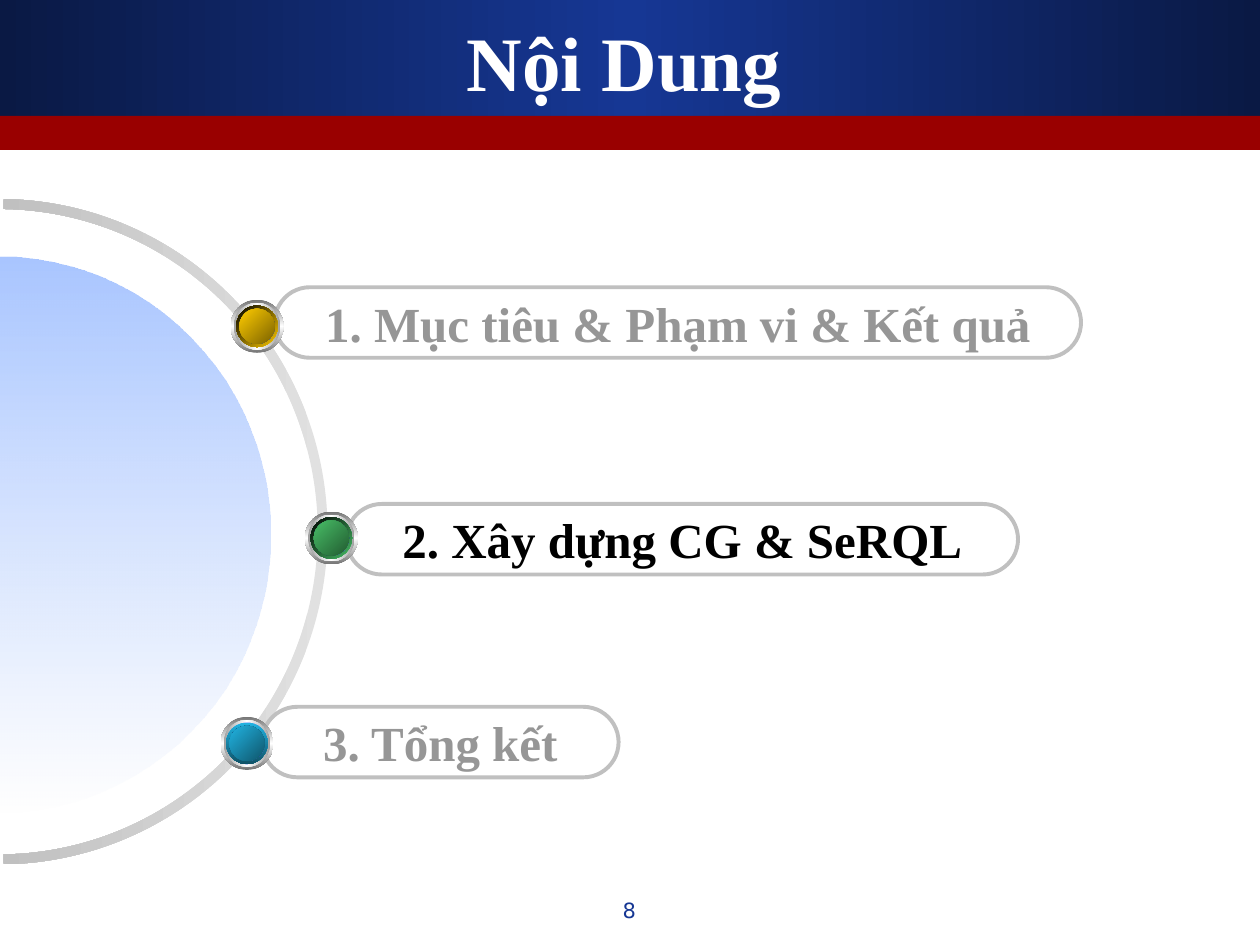
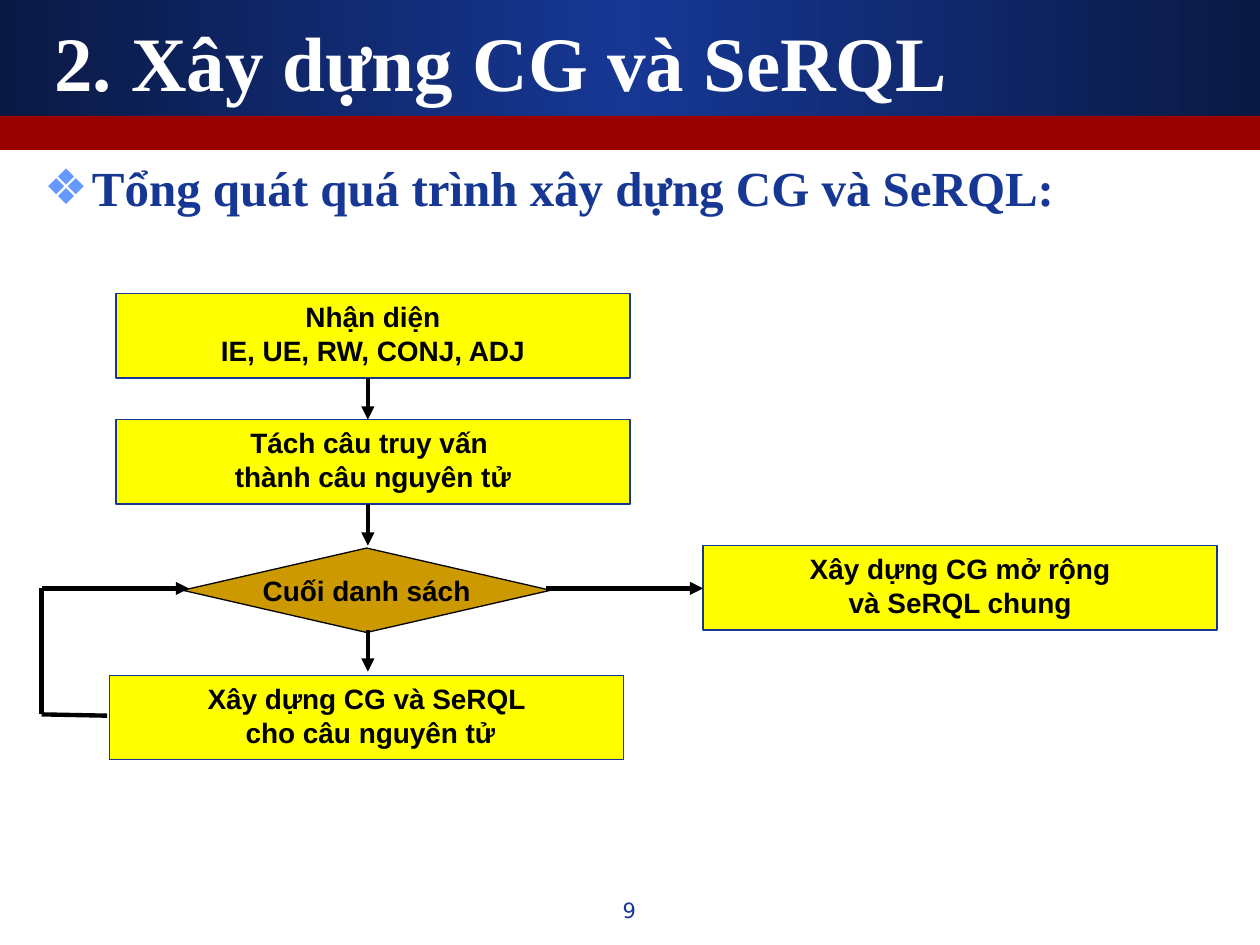
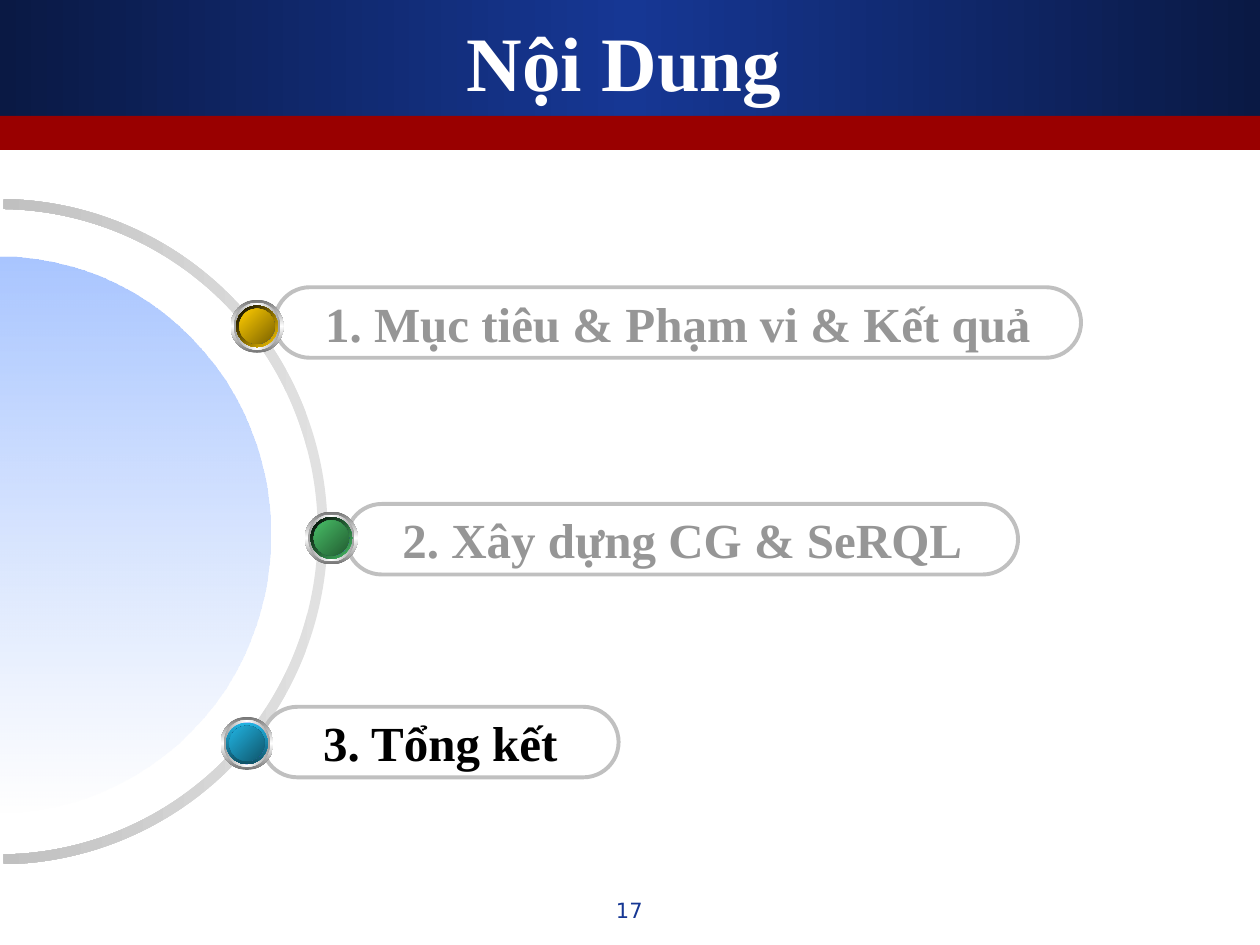
from dataclasses import dataclass
from typing import Any

from lxml import etree
from pptx import Presentation
from pptx.dml.color import RGBColor as Rgb
from pptx.enum import shapes as sh, text as tx
from pptx.oxml.ns import qn
from pptx.util import Inches, Pt

NAVY = Rgb(0x0A, 0x19, 0x44)
BLUE = Rgb(0x16, 0x37, 0x94)
SKY = Rgb(0x66, 0x99, 0xFF)
STEEL = Rgb(0x36, 0x52, 0x89)
RED = Rgb(0x99, 0x00, 0x00)
WHITE = Rgb(0xFF, 0xFF, 0xFF)
PEARL = Rgb(0xFE, 0xFE, 0xFE)
BLACK = Rgb(0x00, 0x00, 0x00)
PALE = Rgb(0xE1, 0xE1, 0xE1)
SILVER = Rgb(0xC0, 0xC0, 0xC0)
ASH = Rgb(0xA1, 0xA1, 0xA1)
GREY = Rgb(0x96, 0x96, 0x96)
SLATE = Rgb(0x75, 0x75, 0x75)
YELLOW = Rgb(0xFF, 0xFF, 0x00)
OCHRE = Rgb(0xCC, 0x99, 0x00)
GOLD = Rgb(0xFF, 0xCC, 0x00)
BRONZE = Rgb(0x7B, 0x62, 0x00)
GREEN = Rgb(0x48, 0xBE, 0x67)
MOSS = Rgb(0x22, 0x5C, 0x31)
CYAN = Rgb(0x21, 0xB3, 0xE1)
TEAL = Rgb(0x0F, 0x56, 0x6C)
DEEP = Rgb(0x0F, 0x52, 0x67)

SERIF = "Times New Roman"
KIND = sh.MSO_SHAPE
ALIGN = tx.PP_ALIGN
MID = tx.MSO_ANCHOR.MIDDLE
TOP = tx.MSO_ANCHOR.TOP
HEAD = dict(name=SERIF, size=Pt(44), bold=True)
ITEM = dict(name=SERIF, size=Pt(28), bold=True)
STEP = dict(name="Arial", size=Pt(16), bold=True)
FOOT = dict(name="DejaVu Sans", size=Pt(12))


@dataclass(frozen=True)
class Box:
    left: float
    top: float
    width: float
    height: float

    def lens(self) -> tuple:
        return tuple(Inches(n) for n in (self.left, self.top, self.width, self.height))


@dataclass(frozen=True)
class Grad:
    stops: tuple[Rgb, ...]
    angle: int
    alpha: tuple[int, ...] = ()


@dataclass(frozen=True)
class Topic:
    words: str
    pill: Box
    dot: tuple[float, float]
    rim: Grad
    core: Grad


@dataclass(frozen=True)
class Step:
    lines: tuple[str, ...]
    left: float
    top: float


@dataclass(frozen=True)
class Link:
    start: tuple[float, float]
    end: tuple[float, float]
    arrow: bool = True


TOPICS = (
    Topic("1. Mục tiêu & Phạm vi & Kết quả", Box(2.18, 2.28, 6.4, 0.56), (1.83, 2.38),
          Grad((GOLD, BLACK), 225), Grad((BRONZE, GOLD), 225)),
    Topic("2. Xây dựng CG & SeRQL", Box(2.75, 4, 5.33, 0.56), (2.42, 4.06),
          Grad((GREEN, BLACK), 225), Grad((MOSS, GREEN), 225)),
    Topic("3. Tổng kết", Box(2.08, 5.61, 2.83, 0.56), (1.75, 5.69),
          Grad((CYAN, DEEP), 90), Grad((TEAL, CYAN), 225)),
)
STEPS = (
    Step(("Nhận diện", "IE, UE, RW, CONJ, ADJ"), 0.92, 2.33),
    Step(("Tách câu truy vấn ", "thành câu nguyên tử"), 0.92, 3.33),
    Step(("Xây dựng CG và SeRQL", " cho câu nguyên tử"), 0.87, 5.36),
    Step(("Xây dựng CG mở rộng", "và SeRQL chung"), 5.58, 4.33),
)
LINKS = (
    *(Link((2.92, y), (2.92, y + 0.33)) for y in (3, 4, 5)),
    Link((4.33, 4.67), (5.58, 4.67)),
    Link((0.33, 4.67), (1.5, 4.67)),
    Link((0.33, 4.67), (0.33, 5.67), False),
    Link((0.33, 5.67), (0.85, 5.68), False),
)


def put(obj: Any, form: dict) -> None:
    for key, val in form.items():
        setattr(obj, key, val)


def blend(shape: Any, grad: Grad) -> None:
    shape.fill.gradient()
    node = shape.element.spPr.find(qn("a:gradFill"))
    for kid in list(node):
        node.remove(kid)
    row = etree.SubElement(node, qn("a:gsLst"))
    last = len(grad.stops) - 1
    for num, tone in enumerate(grad.stops):
        stop = etree.SubElement(row, qn("a:gs"), pos=str(100000 * num // last))
        mark = etree.SubElement(stop, qn("a:srgbClr"), val=str(tone))
        if grad.alpha:
            etree.SubElement(mark, qn("a:alpha"), val=str(grad.alpha[num] * 1000))
    etree.SubElement(node, qn("a:lin"), ang=str(grad.angle * 60000), scaled="1")


def draw(pool: Any, kind: Any, box: Box, fill: Rgb | Grad | None = None,
         line: Rgb | None = None, width: float = 0.75) -> Any:
    shape = pool.add_shape(kind, *box.lens())
    shape.shadow.inherit = False
    if isinstance(fill, Grad):
        blend(shape, fill)
    elif fill is None:
        shape.fill.background()
    else:
        shape.fill.solid()
        shape.fill.fore_color.rgb = fill
    if line is None:
        shape.line.fill.background()
    else:
        shape.line.color.rgb = line
        shape.line.width = Pt(width)
    return shape


def write(shape: Any, lines: tuple[str, ...], font: dict, tone: Rgb,
          align: Any = ALIGN.CENTER, anchor: Any = MID, wrap: bool = True) -> None:
    frame = shape.text_frame
    put(frame, dict(text="\n".join(lines), word_wrap=wrap, vertical_anchor=anchor,
                    auto_size=tx.MSO_AUTO_SIZE.NONE))
    for para in frame.paragraphs:
        para.alignment = align
        for run in para.runs:
            put(run.font, font)
            run.font.color.rgb = tone


def place(shape: Any, box: Box) -> None:
    put(shape, dict(zip(("left", "top", "width", "height"), box.lens())))


def bands(deck: Any, slide: Any) -> None:
    tree = deck.slide_master.shapes.element
    wash = Grad((NAVY, BLUE, NAVY), 180)
    for num, (box, fill) in enumerate(((Box(0, 0, 10, 0.92), wash),
                                       (Box(0, 0.92, 10, 0.27), RED))):
        tree.insert(2 + num, draw(slide.shapes, KIND.RECTANGLE, box, fill).element)


def start(deck: Any, layout: int, title: str, page: int, align: Any) -> Any:
    slide = deck.slides.add_slide(deck.slide_layouts[layout])
    place(slide.shapes.title, Box(0.33, 0.17, 9.25, 0.62))
    write(slide.shapes.title, (title,), HEAD, WHITE, align)
    foot = slide.shapes.add_textbox(*Box(3.83, 7.07, 2.33, 0.35).lens())
    write(foot, (str(page),), FOOT, BLUE, anchor=TOP)
    return slide


def bead(slide: Any, topic: Topic) -> None:
    group = slide.shapes.add_group_shape()
    left, top = topic.dot
    rings = (
        (0.42, Grad((SLATE, WHITE, SLATE), 90)),
        (0.37, Grad((ASH, WHITE, ASH), 180)),
        (0.33, Grad((PEARL, SKY, PEARL), 225)),
        (0.33, topic.rim),
        (0.28, Grad((STEEL, SKY, STEEL), 135)),
        (0.28, topic.core),
    )
    for size, grad in rings:
        gap = (0.42 - size) / 2
        draw(group.shapes, KIND.OVAL, Box(left + gap, top + gap, size, size), grad)


def arc(slide: Any, box: Box, bends: tuple[float, ...], grad: Grad) -> Any:
    shape = draw(slide.shapes, KIND.BLOCK_ARC, box, grad)
    shape.rotation = 90
    for num, bend in enumerate(bends):
        shape.adjustments[num] = bend
    return shape


def agenda(deck: Any, page: int, live: int) -> Any:
    slide = start(deck, 5, "Nội Dung", page, ALIGN.CENTER)
    arc(slide, Box(-2.65, 1.61, 5.28, 5.22), (108.52, 215.48, 0.015),
        Grad((PALE, SILVER, PALE), 90))
    disc = arc(slide, Box(-2.21, 2.09, 4.41, 4.3), (108, 0, 0.5),
               Grad((SKY, PEARL), 180, (56, 48)))
    disc.element.spPr.find(qn("a:xfrm")).set("flipH", "1")
    for num, topic in enumerate(TOPICS, 1):
        pill = draw(slide.shapes, KIND.ROUNDED_RECTANGLE, topic.pill, None, SILVER, 2.25)
        pill.adjustments[0] = 0.5
        write(pill, (topic.words,), ITEM, BLACK if num == live else GREY, wrap=False)
    for topic in TOPICS:
        bead(slide, topic)
    return slide


def bullet(shape: Any, words: str) -> None:
    write(shape, (words,), ITEM, BLUE, ALIGN.LEFT, TOP)
    para = shape.text_frame.paragraphs[0]
    put(para, dict(line_spacing=0.9, space_before=Pt(7)))
    prop = para._p.get_or_add_pPr()
    prop.set("marL", str(Inches(0.38)))
    prop.set("indent", str(Inches(-0.38)))
    tint = etree.SubElement(prop, qn("a:buClr"))
    etree.SubElement(tint, qn("a:srgbClr"), val=str(SKY))
    etree.SubElement(prop, qn("a:buChar"), char="❖")


def join(slide: Any, link: Link) -> None:
    ends = (Inches(n) for n in (*link.start, *link.end))
    line = slide.shapes.add_connector(sh.MSO_CONNECTOR.STRAIGHT, *ends)
    line.line.color.rgb = BLACK
    line.line.width = Pt(2.5)
    prop = line.element.spPr
    if link.arrow:
        etree.SubElement(prop.find(qn("a:ln")), qn("a:tailEnd"), type="triangle")
    etree.SubElement(prop, qn("a:effectLst"))


def flow(deck: Any, page: int) -> None:
    slide = start(deck, 1, "2. Xây dựng CG và SeRQL", page, ALIGN.LEFT)
    body = slide.placeholders[1]
    place(body, Box(0.25, 1.25, 9.42, 0.58))
    bullet(body, "Tổng quát quá trình xây dựng CG và SeRQL:")
    for step in STEPS:
        card = draw(slide.shapes, KIND.FLOWCHART_PROCESS,
                    Box(step.left, step.top, 4.08, 0.67), YELLOW, BLUE)
        write(card, step.lines, STEP, BLACK, anchor=TOP, wrap=False)
    test = draw(slide.shapes, KIND.FLOWCHART_DECISION,
                Box(1.45, 4.35, 2.92, 0.67), OCHRE, BLACK)
    write(test, ("Cuối danh sách",), STEP, BLACK, wrap=False)
    for link in LINKS:
        join(slide, link)


def main() -> None:
    deck = Presentation()
    put(deck, dict(slide_width=Inches(10), slide_height=Inches(7.5)))
    bands(deck, agenda(deck, 8, 2))
    flow(deck, 9)
    agenda(deck, 17, 3)
    deck.save("out.pptx")


if __name__ == "__main__":
    main()
